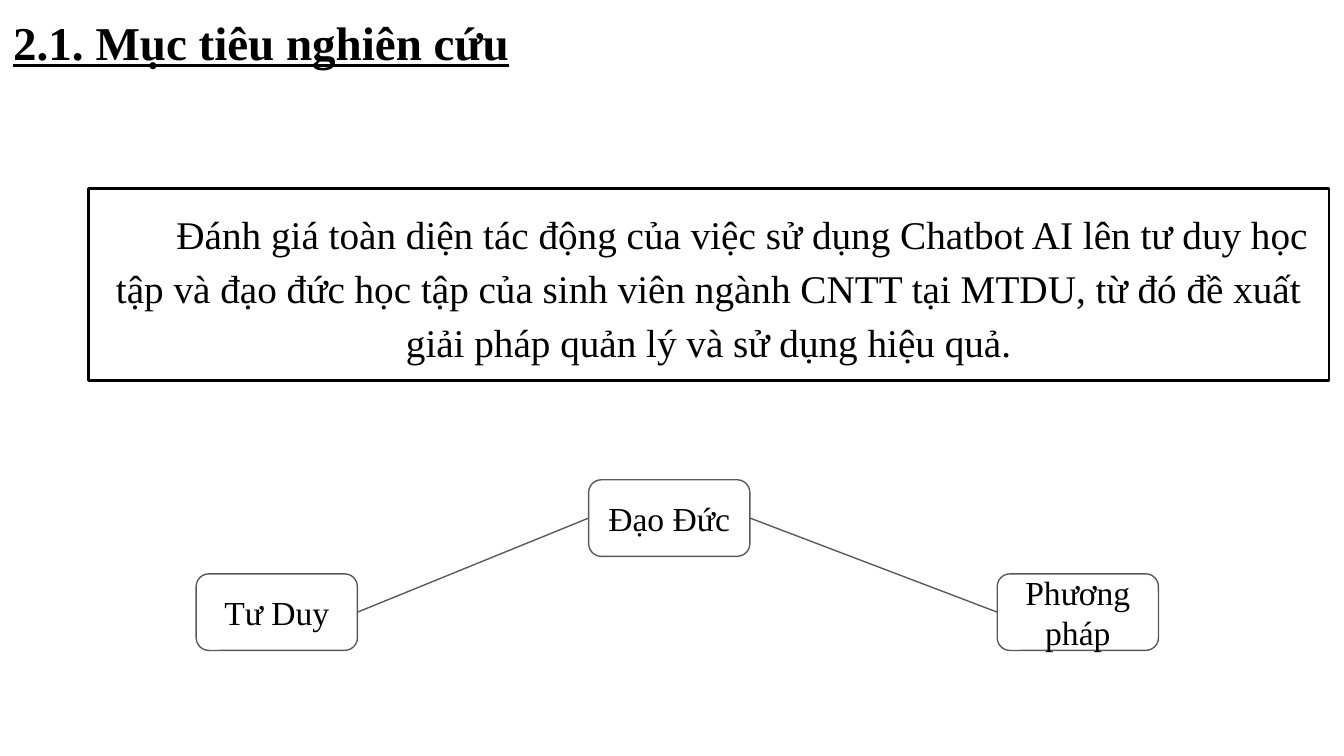
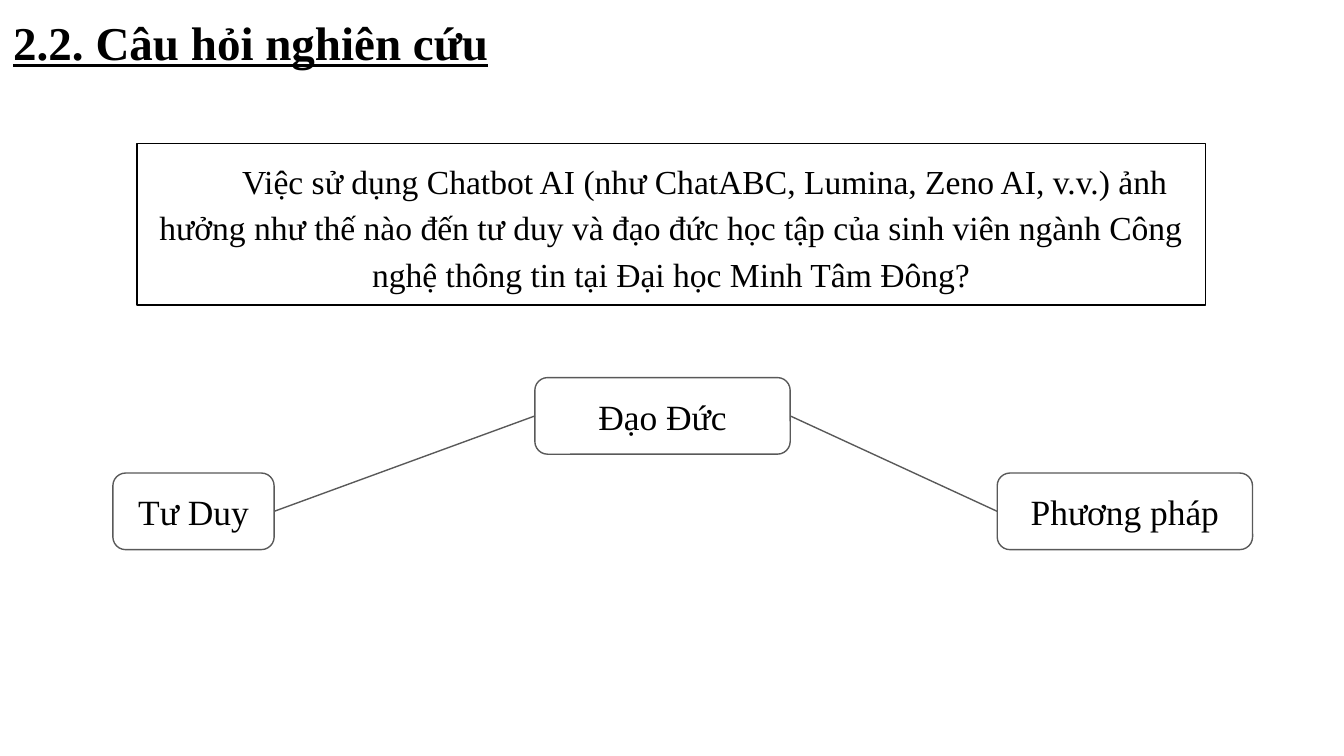
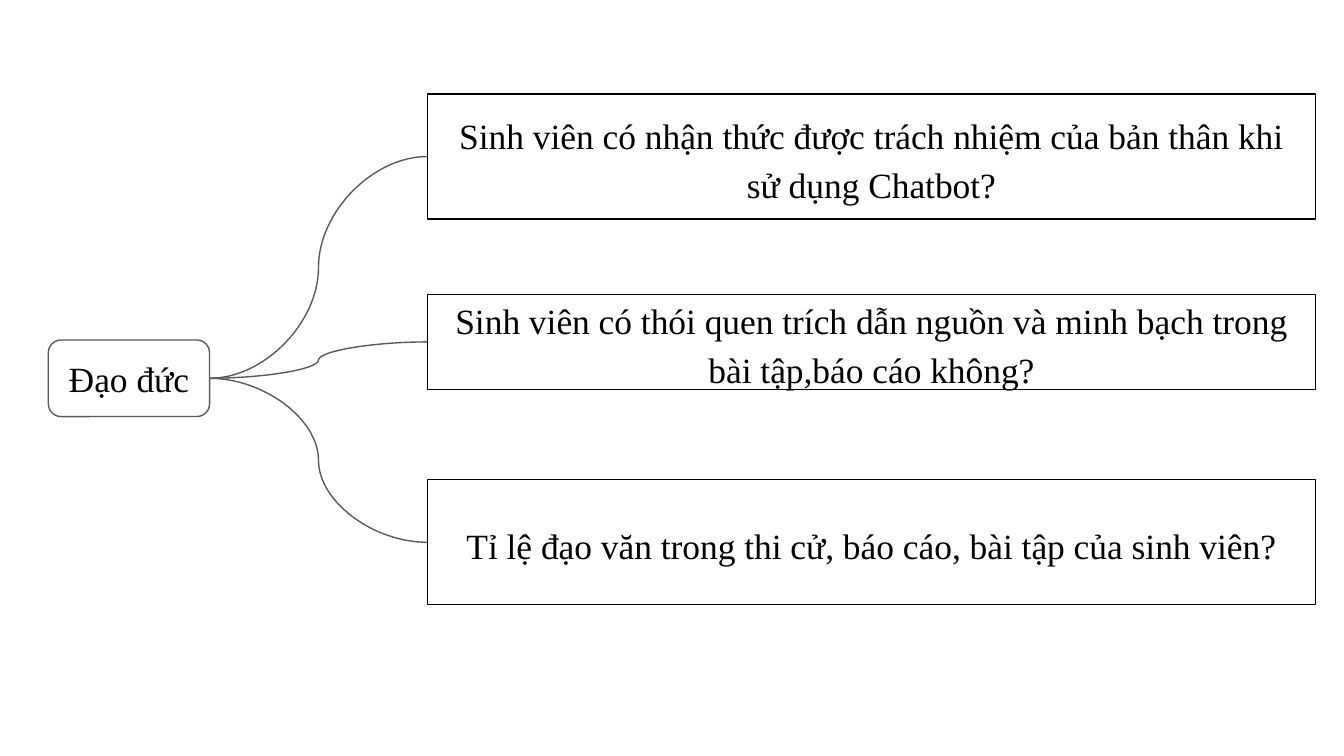
from pptx import Presentation
from pptx.dml.color import RGBColor
from pptx.enum.shapes import MSO_CONNECTOR, MSO_SHAPE
from pptx.enum.text import MSO_ANCHOR, PP_ALIGN
from pptx.oxml.ns import qn
from pptx.util import Inches, Pt
from lxml.etree import SubElement

BLACK, GREY, WHITE = "000000", "595959", "FFFFFF"
FONT = "Times New Roman"
LEFT, RIGHT = 1, 3


def tint(code):
    return RGBColor.from_string(code)


def write(shape, text, size=19, bold=False, line=False, align=PP_ALIGN.CENTER,
          anchor=MSO_ANCHOR.MIDDLE, space=1, indent=0):
    frame = shape.text_frame
    frame.word_wrap = True
    frame.vertical_anchor = anchor
    frame.margin_left = frame.margin_right = Inches(0.1)
    frame.margin_top = frame.margin_bottom = Inches(0.1)
    para = frame.paragraphs[0]
    para.alignment, para.line_spacing = align, space
    props = para._p.get_or_add_pPr()
    props.set("marL", "0")
    props.set("indent", str(Inches(indent)))
    run = para.add_run()
    run.text = text
    font = run.font
    font.name, font.size, font.bold, font.underline = FONT, Pt(size), bold, line
    font.color.rgb = tint(BLACK)


class Deck:
    """Draws styled parts on a grid of 100 columns, ten to the inch."""

    def __init__(self):
        self.file = Presentation()
        self.file.slide_width = Inches(10)
        self.file.slide_height = Inches(10) * 9 // 16
        self.unit = self.file.slide_width // 100
        self.slide = None

    def page(self, title=None):
        self.slide = self.file.slides.add_slide(self.file.slide_layouts[6])
        if title:
            box = self.slide.shapes.add_textbox(*self.place(0, 0, 93.2, 6.3))
            write(box, title, size=25.2, bold=True, line=True,
                  align=PP_ALIGN.LEFT, anchor=MSO_ANCHOR.TOP)

    def place(self, *cells):
        return [round(cell * self.unit) for cell in cells]

    def shape(self, kind, cells, edge, width):
        shape = self.slide.shapes.add_shape(kind, *self.place(*cells))
        shape.shadow.inherit = False
        shape.line.color.rgb = tint(edge)
        shape.line.width = Pt(width)
        return shape

    def node(self, text, col, row, wide=12, size=19):
        node = self.shape(MSO_SHAPE.ROUNDED_RECTANGLE, (col, row, wide, 5.7), GREY, 0.75)
        node.fill.solid()
        node.fill.fore_color.rgb = tint(WHITE)
        write(node, text, size=size)
        return node

    def panel(self, text, *cells, width=0.75, **style):
        panel = self.shape(MSO_SHAPE.RECTANGLE, cells, BLACK, width)
        panel.fill.background()
        write(panel, text, space=1.15, **style)
        return panel

    def link(self, start, end, kind=MSO_CONNECTOR.STRAIGHT):
        link = self.slide.shapes.add_connector(kind, 0, 0, 0, 0)
        link.begin_connect(start, RIGHT)
        link.end_connect(end, LEFT)
        link.line.color.rgb = tint(GREY)
        link.line.width = Pt(0.75)
        SubElement(link._element.spPr, qn("a:effectLst"))

    def trio(self, cols, wides, top, low, size):
        names = ("Tư Duy", "Đạo Đức", "Phương pháp")
        rows = (low, top, low)
        nodes = [self.node(*spot, size=size) for spot in zip(names, cols, rows, wides)]
        for start, end in zip(nodes, nodes[1:]):
            self.link(start, end)


def main():
    deck = Deck()

    deck.page("2.1. Mục tiêu nghiên cứu")
    deck.trio((14.6, 43.8, 74.2), (12, 12, 12), top=35.7, low=42.7, size=18)
    deck.panel("Đánh giá toàn diện tác động của việc sử dụng Chatbot AI lên tư duy "
               "học tập và đạo đức học tập của sinh viên ngành CNTT tại MTDU, từ đó "
               "đề xuất giải pháp quản lý và sử dụng hiệu quả.",
               6.6, 14, 92.3, 14.3, width=1.5, size=21, indent=0.5)

    deck.page("2.2. Câu hỏi nghiên cứu")
    deck.trio((8.4, 39.8, 74.2), (12, 19, 19), top=28.1, low=35.2, size=19)
    deck.panel("Việc sử dụng Chatbot AI (như ChatABC, Lumina, Zeno AI, v.v.) ảnh hưởng "
               "như thế nào đến tư duy và đạo đức học tập của sinh viên ngành Công nghệ "
               "thông tin tại Đại học Minh Tâm Đông?",
               10.2, 10.7, 79.5, 12, size=18, indent=0.5)

    deck.page()
    root = deck.node("Đạo đức", 3.6, 25.3)
    asks = (
        ("Sinh viên có nhận thức được trách nhiệm của bản thân khi sử dụng Chatbot?", 7, 9.3),
        ("Sinh viên có thói quen trích dẫn nguồn và minh bạch trong bài tập,báo cáo không?",
         21.9, 7.1),
        ("Tỉ lệ đạo văn trong thi cử, báo cáo, bài tập của sinh viên?", 35.7, 9.3),
    )
    for text, row, high in asks:
        panel = deck.panel(text, 31.8, row, 66.1, high)
        deck.link(root, panel, MSO_CONNECTOR.CURVE)

    deck.file.save("out.pptx")


if __name__ == "__main__":
    main()
